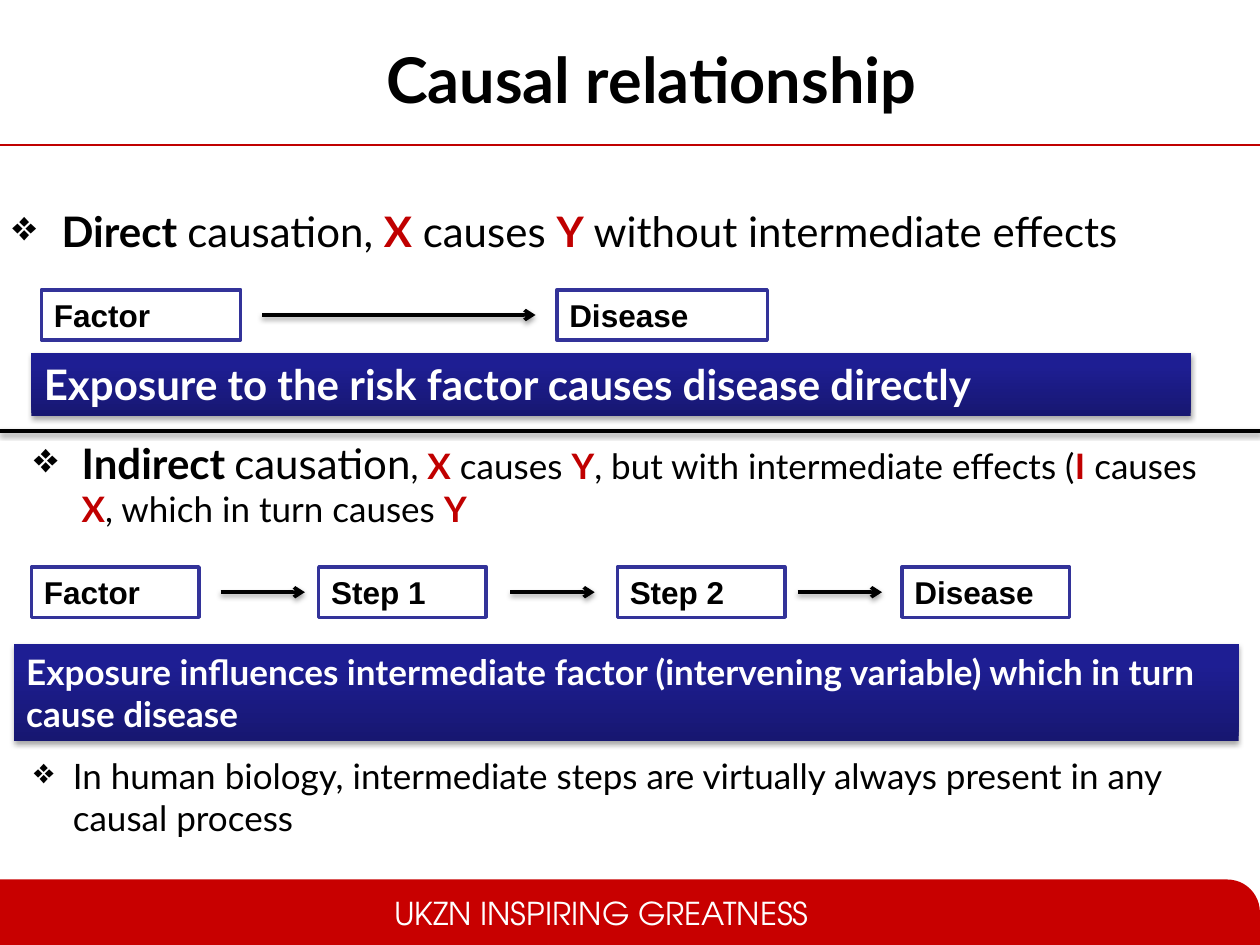
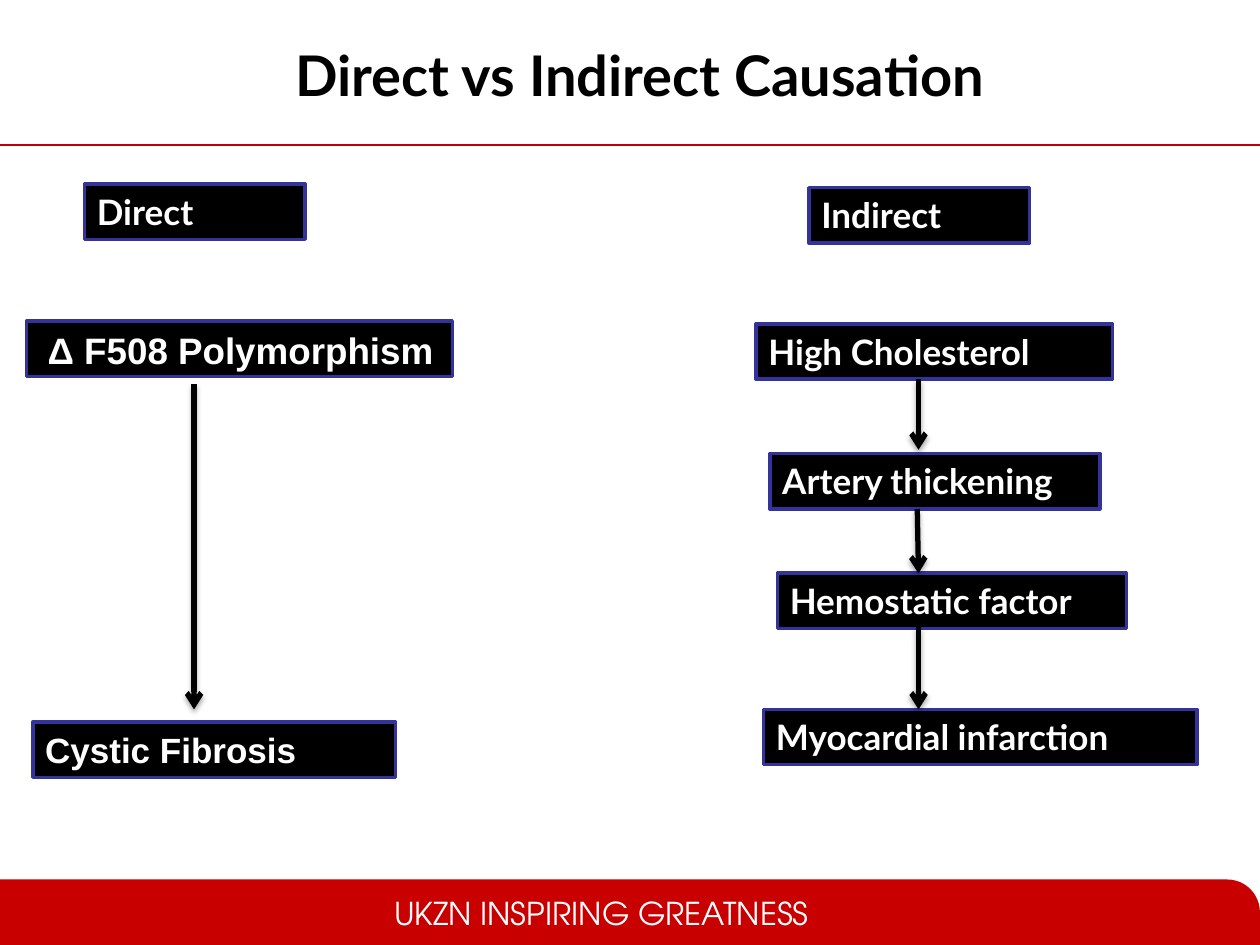
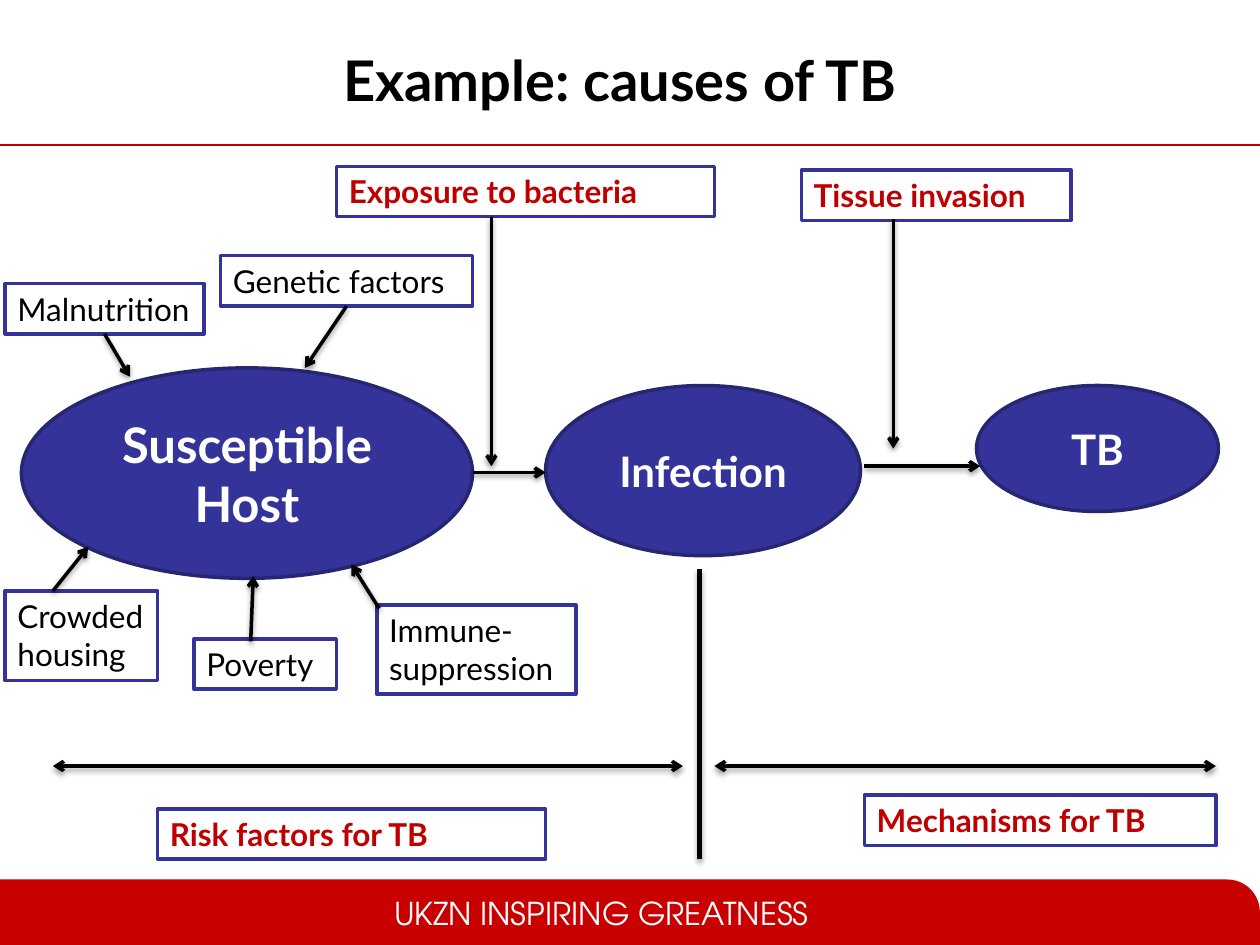
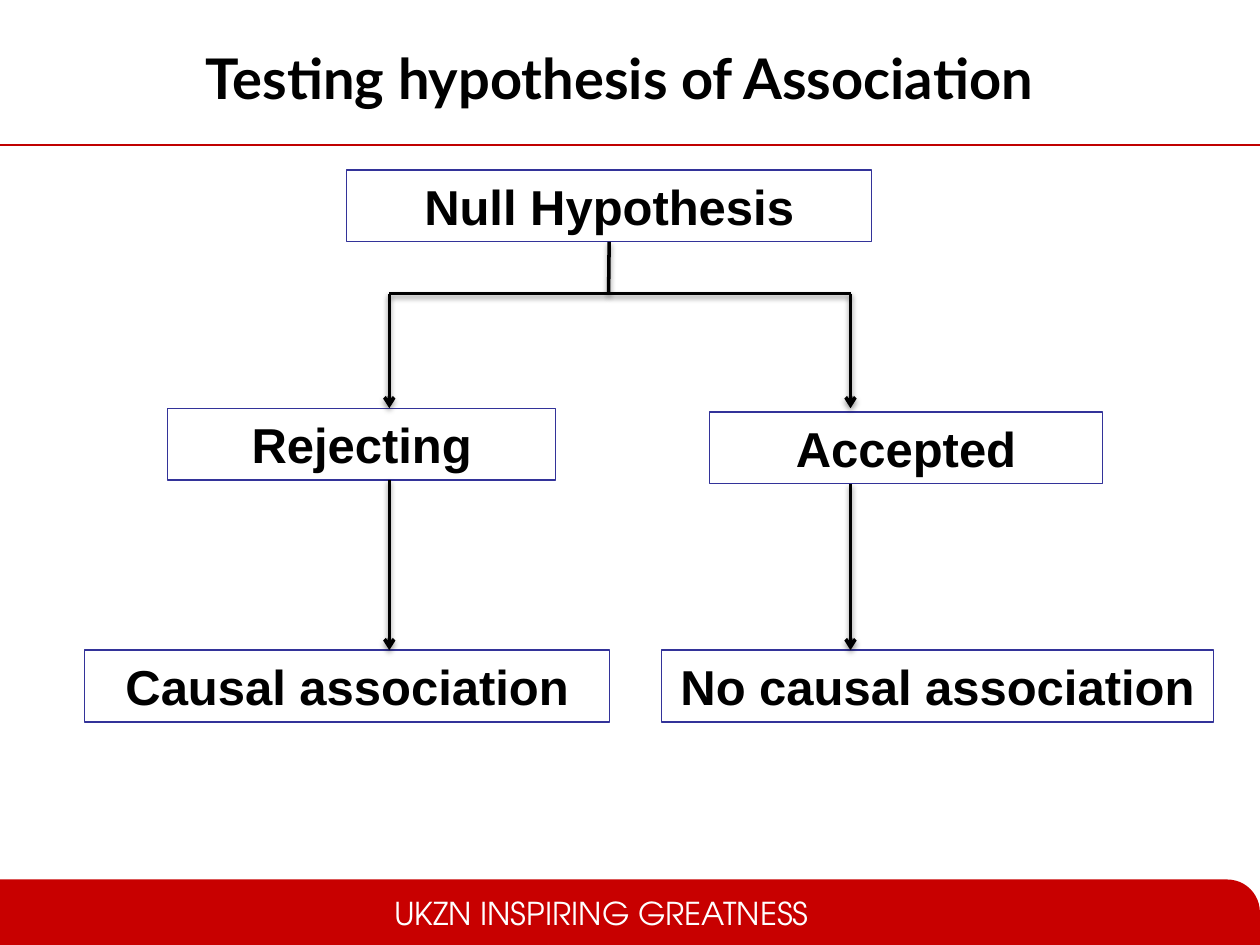
"""Build four slides on direct and indirect causes of disease."""
from collections import namedtuple
from dataclasses import dataclass

from lxml.etree import SubElement
from pptx import Presentation
from pptx.dml.color import RGBColor as RGB
from pptx.enum.shapes import MSO_CONNECTOR as LINK, MSO_SHAPE as FORM
from pptx.enum.text import MSO_ANCHOR as ANCHOR, MSO_AUTO_SIZE as FIT, PP_ALIGN as ALIGN
from pptx.oxml.ns import qn
from pptx.util import Inches, Pt

Run = namedtuple("Run", "text size color bold", defaults=(None, None, None))
Glow = namedtuple("Glow", "alpha blur dist angle")


@dataclass(frozen=True)
class Theme:
    black: str = "000000"
    white: str = "FFFFFF"
    red: str = "C00000"
    band: str = "C80000"
    blue: str = "333399"
    rim: str = "262671"
    dark: str = "171771"
    light: str = "1E1E93"
    sans: str = "Lato"
    plain: str = "Arial"
    brand: str = "TeX Gyre Adventor"
    small: int = 18
    body: int = 20
    lead: int = 24
    large: int = 28
    head: int = 32
    thin: float = 0.75
    line: float = 2
    thick: float = 3
    rule: Glow = Glow(40, 4, 3, 45)
    soft: Glow = Glow(38, 3.1, 1.6, 90)
    deep: Glow = Glow(35, 3.1, 1.8, 90)


class Deck:
    def __init__(self, theme):
        self.theme = theme
        self.show = Presentation()
        self.show.slide_width, self.show.slide_height = Inches(10), Inches(7.5)
        self.slide = None

    def page(self, title, at, size=None):
        t = self.theme
        self.slide = self.show.slides.add_slide(self.show.slide_layouts[6])
        self.line((0, 1.15), (10, 1.15), t.thin, ends="", color=t.red, glow=t.rule)
        foot = self.shape(FORM.ROUND_1_RECTANGLE, (0, 6.98, 10, 0.52), t.band)
        foot.adjustments[0] = 0.5
        self.text((3.03, 7.05, 3.54, 0.4), "UKZN INSPIRING GREATNESS",
                  size=t.small, color=t.white, face=t.brand)
        box = self.text(at, title, size=size or t.head, bold=True, align=ALIGN.CENTER)
        box.text_frame.auto_size = FIT.NONE
        box.text_frame.vertical_anchor = ANCHOR.MIDDLE

    def font(self, run, size, color, bold, face):
        font = run.font
        font.name, font.size, font.bold = face, Pt(size), bold
        font.color.rgb = RGB.from_string(color)

    def fill(self, item, words, size, color=None, bold=False, face=None, align=ALIGN.LEFT):
        t = self.theme
        frame = item.text_frame
        frame.word_wrap = True
        frame.auto_size = FIT.SHAPE_TO_FIT_TEXT
        frame.vertical_anchor = ANCHOR.TOP
        frame.text = words
        for para in frame.paragraphs:
            para.alignment = align
            for run in para.runs:
                self.font(run, size, color or t.black, bold, face or t.sans)

    def text(self, at, words, **look):
        box = self.slide.shapes.add_textbox(*map(Inches, at))
        self.fill(box, words, **look)
        return box

    def point(self, at, parts, size, indent):
        t = self.theme
        box = self.text(at, "", size=size)
        para = box.text_frame.paragraphs[0]
        props = para._p.get_or_add_pPr()
        props.set("marL", str(Inches(indent)))
        props.set("indent", str(-Inches(indent)))
        SubElement(props, qn("a:buChar"), char="❖")
        for part in parts:
            run = para.add_run()
            run.text = part.text
            self.font(run, part.size or size, part.color or t.black, bool(part.bold), t.sans)

    def shape(self, form, at, fill=None, edge=None, width=None):
        item = self.slide.shapes.add_shape(form, *map(Inches, at))
        item.shadow.inherit = False
        if fill:
            item.fill.solid()
            item.fill.fore_color.rgb = RGB.from_string(fill)
        else:
            item.fill.background()
        if edge:
            item.line.color.rgb = RGB.from_string(edge)
            item.line.width = Pt(width or self.theme.line)
        else:
            item.line.fill.background()
        return item

    def box(self, at, words, fill="FFFFFF", width=None, **look):
        item = self.shape(FORM.RECTANGLE, at, fill, self.theme.blue, width)
        self.fill(item, words, **{"size": self.theme.small, **look})
        return item

    def oval(self, at, words, size):
        t = self.theme
        item = self.shape(FORM.OVAL, at, t.blue, t.rim)
        self.fill(item, words, size, t.white, True, align=ALIGN.CENTER)
        item.text_frame.auto_size = FIT.NONE
        item.text_frame.vertical_anchor = ANCHOR.MIDDLE

    def banner(self, at, words, size):
        t = self.theme
        item = self.shape(FORM.RECTANGLE, at)
        item.fill.gradient()
        item.fill.gradient_angle = 90
        for stop, color, place in zip(item.fill.gradient_stops, (t.dark, t.light), (0, 0.8)):
            stop.color.rgb = RGB.from_string(color)
            stop.position = place
        self.fill(item, words, size, t.white, True)
        self.shade(item, t.deep)

    def shade(self, item, glow):
        props = item.element.spPr
        list_ = props.find(qn("a:effectLst"))
        if list_ is None:
            list_ = SubElement(props, qn("a:effectLst"))
        cast = SubElement(list_, qn("a:outerShdw"), blurRad=str(Pt(glow.blur)),
                          dist=str(Pt(glow.dist)), dir=str(glow.angle * 60000), rotWithShape="0")
        color = SubElement(cast, qn("a:srgbClr"), val=self.theme.black)
        SubElement(color, qn("a:alpha"), val=str(glow.alpha * 1000))

    def line(self, start, end, width=None, ends="tail", color=None, glow=None, source=None):
        t = self.theme
        width = width or t.line
        link = self.slide.shapes.add_connector(LINK.STRAIGHT, *map(Inches, (*start, *end)))
        if source:
            link.begin_connect(source, 2)
        link.line.color.rgb = RGB.from_string(color or t.black)
        link.line.width = Pt(width)
        for side in ends.split():
            SubElement(link.line._get_or_add_ln(), qn(f"a:{side}End"), type="arrow")
        self.shade(link, glow or (t.deep if width == t.thick else t.soft))


def causal(deck):
    t = deck.theme

    def bold(text, size=None):
        return Run(text, size, None, True)

    def red(text):
        return Run(text, None, t.red, True)

    label = dict(face=t.plain, bold=True)
    deck.page("Causal relationship", (0.67, 0, 9, 1.25), 36)
    deck.point((0, 1.58, 9.83, 0.5), [
        bold(" Direct "), Run("causation, "), red("X"), Run(" causes "), red("Y"),
        Run(" without intermediate effects")], t.lead, 0.31)
    deck.box((0.33, 2.3, 1.58, 0.4), "Factor", **label)
    deck.box((4.42, 2.3, 1.67, 0.4), "Disease", **label)
    deck.line((2.08, 2.5), (4.25, 2.5))
    deck.banner((0.25, 2.8, 9.2, 0.5), "Exposure to the risk factor causes disease directly", t.lead)
    deck.point((0.17, 3.42, 9.67, 0.84), [
        bold("Indirect", t.lead), Run(" "), Run("causation", t.lead), Run(", "), red("X"),
        Run(" causes "), red("Y"), Run(", but with intermediate effects ("), red("I"),
        Run(" causes "), red("X"), Run(", which in turn causes "), red("Y")], t.body, 0.38)
    for left, word in ((0.25, "Factor"), (2.53, "Step 1"), (4.9, "Step 2"), (7.16, "Disease")):
        deck.box((left, 4.5, 1.33, 0.4), word, **label)
    deck.banner((0.11, 5.11, 9.72, 0.77), "Exposure influences intermediate factor "
                "(intervening variable) which in turn cause disease", t.body)
    for left in (1.75, 4.05, 6.33):
        deck.line((left, 4.7), (left + 0.67, 4.7))
    deck.point((0.17, 5.94, 9.5, 0.77), [
        Run("In human biology, intermediate steps are virtually always present in any "
            "causal process")], t.body, 0.31)
    deck.line((0, 3.42), (10, 3.42), ends="")


def versus(deck):
    t = deck.theme
    deck.page("Direct vs Indirect Causation", (0.58, 0, 9, 1.17))
    for left, top, width, word, face, size in (
            (0.67, 1.46, 1.75, "Direct", t.sans, t.body),
            (0.21, 2.55, 3.38, " Δ F508 Polymorphism", t.plain, 21),
            (0.26, 5.73, 2.88, "Cystic Fibrosis", t.plain, t.body),
            (6.42, 1.49, 1.75, "Indirect", t.sans, t.body),
            (6, 2.57, 2.83, "High Cholesterol", t.sans, t.body),
            (6.11, 3.6, 2.62, "Artery thickening", t.sans, t.body),
            (6.17, 4.55, 2.77, "Hemostatic factor", t.sans, t.body),
            (6.06, 5.63, 3.44, "Myocardial infarction", t.sans, t.body)):
        deck.box((left, top, width, 0.44), word, fill=t.black, size=size,
                 color=t.white, bold=True, face=face)
    for start, end in (((1.54, 3.05), (1.54, 5.63)), ((7.29, 3.01), (7.29, 3.57)),
                       ((7.28, 4.04), (7.29, 4.55)), ((7.29, 4.98), (7.29, 5.63))):
        deck.line(start, end, t.thick)


def example(deck):
    t = deck.theme
    deck.page("Example: causes of TB", (0.42, 0, 9, 1.25))
    deck.oval((0.17, 2.92, 3.58, 1.67), "Susceptible Host", t.large)
    deck.oval((7.75, 3.06, 1.92, 1), "TB", t.lead)
    deck.oval((4.33, 3.06, 2.5, 1.35), "Infection", t.lead)
    for at, words in (((6.36, 1.35, 2.14, 0.4), "Tissue invasion"),
                      ((2.67, 1.32, 3, 0.4), "Exposure to bacteria"),
                      ((1.25, 6.42, 3.08, 0.4), "Risk factors for TB"),
                      ((6.86, 6.31, 2.79, 0.4), "Mechanisms for TB")):
        deck.box(at, words, color=t.red, bold=True)
    food = deck.box((0.04, 2.25, 1.58, 0.4), "Malnutrition")
    genes = deck.box((1.75, 2.03, 2, 0.4), "Genetic factors")
    deck.box((1.54, 5.07, 1.13, 0.4), "Poverty")
    deck.box((0.04, 4.69, 1.21, 0.71), "Crowded housing")
    deck.box((2.99, 4.8, 1.58, 0.71), "Immune-\nsuppression")
    deck.line((0.83, 2.65), (1.03, 2.99), source=food)
    deck.line((2.75, 2.43), (2.42, 2.92), source=genes)
    for start, end in (((3.75, 3.75), (4.33, 3.75)), ((3.9, 1.72), (3.9, 3.7)),
                       ((6.86, 3.7), (7.78, 3.7)), ((7.09, 1.74), (7.09, 3.56)),
                       ((0.42, 4.69), (0.7, 4.34)), ((1.99, 5.09), (2.01, 4.57)),
                       ((3.01, 4.83), (2.79, 4.48))):
        deck.line(start, end)
    deck.line((5.55, 4.52), (5.55, 6.82), t.thick, ends="")
    for start, end in ((5.67, 9.65), (5.42, 0.42)):
        deck.line((start, 6.08), (end, 6.08), ends="head tail")


def testing(deck):
    t = deck.theme
    deck.page("Testing hypothesis of Association", (0.42, 0.15, 9, 0.93))

    def node(left, top, width, words):
        return deck.box((left, top, width, 0.57), words, fill=None, width=t.thin,
                        size=t.large, bold=True, face=t.plain, align=ALIGN.CENTER)

    null = node(2.75, 1.35, 4.17, "Null Hypothesis")
    node(1.33, 3.24, 3.08, "Rejecting")
    node(5.63, 3.27, 3.12, "Accepted")
    node(0.67, 5.16, 4.17, "Causal association")
    node(5.25, 5.16, 4.38, "No causal association")
    fork = (4.83, 2.33)
    deck.line((4.83, 1.92), fork, ends="", source=null)
    for x, base in ((3.09, 3.81), (6.75, 3.84)):
        deck.line(fork, (x, 2.33), ends="")
        deck.line((x, 2.33), (x, 3.24))
        deck.line((x, base), (x, 5.16))


def main():
    deck = Deck(Theme())
    for build in (causal, versus, example, testing):
        build(deck)
    deck.show.save("out.pptx")


if __name__ == "__main__":
    main()
